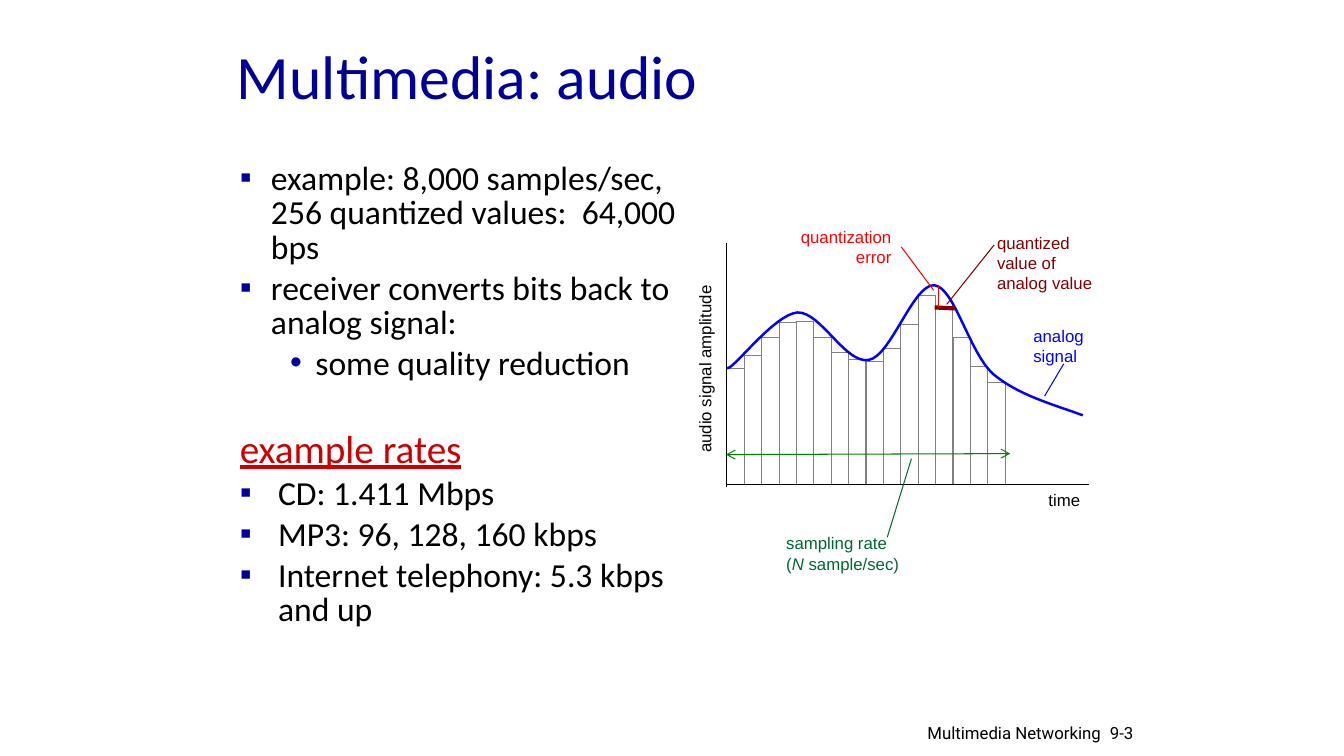
from dataclasses import dataclass
from pptx import Presentation
from pptx.dml.color import RGBColor
from pptx.enum.shapes import MSO_CONNECTOR, MSO_SHAPE
from pptx.enum.text import MSO_ANCHOR, MSO_AUTO_SIZE, PP_ALIGN
from pptx.oxml.ns import qn
from pptx.util import Inches, Pt
from lxml.etree import SubElement


@dataclass(frozen=True)
class Theme:
    navy: str = "000099"
    black: str = "000000"
    heading: str = "CC0000"
    gray: str = "808080"
    blue: str = "0000FF"
    maroon: str = "800000"
    red: str = "FF0000"
    green: str = "008000"
    forest: str = "006633"
    body_font: str = "Calibri"
    label_font: str = "Arial"
    footer_font: str = "Roboto"
    title_size: int = 44
    heading_size: int = 28
    body_size: int = 24
    label_size: int = 12
    thin: float = 0.75


THEME = Theme()
WIDTH, HEIGHT = 13.33, 7.5
AXIS_LEFT, AXIS_BASE = 7.21, 4.81
BAR_WIDTH = 0.1725

TITLE = "Multimedia: audio"
POINT = {"margin": 0.31, "hanging": 0.31, "bullet": "▪", "before": 4.8}
SUBPOINT = {"margin": 0.75, "hanging": 0.25, "bullet": "•", "before": 4.8}
RATE = {"margin": 0.38, "hanging": 0.38, "bullet": "▪", "before": 4.8}
HEADING = {"margin": 0.38, "hanging": 0.38, "bullet": None, "before": 35}
BODY = [
    ("example: 8,000 samples/sec, 256 quantized values:  64,000 bps", POINT | {"before": 0}),
    ("receiver converts bits back to analog signal:", POINT),
    ("some quality reduction", SUBPOINT),
    ("example rates", HEADING),
    ("CD: 1.411 Mbps", RATE),
    ("MP3: 96, 128, 160 kbps", RATE),
    ("Internet telephony: 5.3 kbps and up", RATE),
]
SAMPLE_HEIGHTS = [1.15, 1.28, 1.46, 1.61, 1.62, 1.46, 1.31, 1.24,
                  1.22, 1.35, 1.59, 1.88, 1.75, 1.46, 1.17, 1.02]
SIGNAL_START = (7.21, 3.65)
SIGNAL_CURVES = [
    ((7.25, 3.7), (7.67, 3.12), (7.91, 3.1)),
    ((8.14, 3.09), (8.39, 3.62), (8.62, 3.57)),
    ((8.84, 3.53), (9.06, 2.81), (9.27, 2.83)),
    ((9.47, 2.86), (9.61, 3.49), (9.85, 3.71)),
    ((10.1, 3.92), (10.44, 4.01), (10.74, 4.12)),
]
AXES = [
    ((AXIS_LEFT, 2.41), (AXIS_LEFT, 4.83), THEME.black, THEME.thin),
    ((AXIS_LEFT, AXIS_BASE), (10.8, AXIS_BASE), THEME.black, THEME.thin),
]
POINTERS = [
    ((10.55, 3.61), (10.36, 3.93), THEME.blue, THEME.thin),
    ((9.27, 3.05), (9.47, 3.06), THEME.maroon, 3),
    ((9.86, 2.43), (9.39, 3.02), THEME.maroon, THEME.thin),
    ((9.31, 2.83), (9.31, 3.05), THEME.red, 1),
    ((8.94, 2.45), (9.26, 2.88), THEME.red, THEME.thin),
    ((8.8, 5.33), (9.04, 4.55), THEME.forest, THEME.thin),
]
SAMPLING_SPAN = ((7.2, 4.51), (10.02, 4.5), THEME.green, THEME.thin)
LABELS = [
    ((10.3, 4.81, 0.52, 0.3), ["time"], THEME.black, {"wrap": False}),
    ((6.05, 3.5, 1.88, 0.3), ["audio signal amplitude"], THEME.black,
     {"wrap": False, "rotation": 270}),
    ((10.15, 3.18, 0.71, 0.5), ["analog", "signal"], THEME.blue, {"wrap": False}),
    ((9.79, 2.26, 1.28, 0.71), ["quantized value of", "analog value"], THEME.maroon, {}),
    ((7.73, 2.2, 1.21, 0.5), ["quantization error"], THEME.red, {"align": PP_ALIGN.RIGHT}),
    ((7.7, 5.24, 1.87, 0.5), ["sampling rate", ("(", "N ", "sample/sec)")], THEME.forest, {}),
    ((10.91, 7.12, 0.75, 0.3), ["9-3"], THEME.black, {"font": THEME.footer_font}),
    ((8.86, 7.12, 2.16, 0.28), ["Multimedia Networking"], THEME.black,
     {"font": THEME.footer_font, "align": PP_ALIGN.RIGHT}),
]


def color(value):
    return RGBColor.from_string(value)


def apply(target, values):
    for name, value in values.items():
        setattr(target, name, value)


def style_font(font, name, size, hue, **extra):
    apply(font, {"name": name, "size": Pt(size), **extra})
    font.color.rgb = color(hue)


def place(shape, box):
    apply(shape, dict(zip(("left", "top", "width", "height"), map(Inches, box))))


def style_line(shape, hue, width):
    shape.line.color.rgb = color(hue)
    shape.line.width = Pt(width)


def add_line(slide, start, end, hue, width, arrows=False):
    connector = slide.shapes.add_connector(
        MSO_CONNECTOR.STRAIGHT, *map(Inches, (*start, *end)))
    style_line(connector, hue, width)
    properties = connector._element.spPr
    SubElement(properties, qn("a:effectLst"))
    if arrows:
        outline = properties.find(qn("a:ln"))
        for tag in ("a:headEnd", "a:tailEnd"):
            SubElement(outline, qn(tag), type="arrow")


def add_title(slide):
    title = slide.shapes.title
    place(title, (2.25, 0.12, 5.44, 1.25))
    apply(title.text_frame, {"text": TITLE, "vertical_anchor": MSO_ANCHOR.MIDDLE,
                             "auto_size": MSO_AUTO_SIZE.NONE, "word_wrap": True})
    paragraph = title.text_frame.paragraphs[0]
    paragraph.alignment = PP_ALIGN.LEFT
    style_font(paragraph.runs[0].font, THEME.body_font, THEME.title_size, THEME.navy)


def add_body(slide):
    frame = slide.shapes.add_textbox(*map(Inches, (2.28, 1.57, 4.54, 5.08))).text_frame
    frame.word_wrap = True
    for index, (text, layout) in enumerate(BODY):
        paragraph = frame.add_paragraph() if index else frame.paragraphs[0]
        apply(paragraph, {"line_spacing": 0.85, "space_before": Pt(layout["before"]),
                          "level": int(layout is SUBPOINT)})
        properties = paragraph._p.get_or_add_pPr()
        properties.set("marL", str(Inches(layout["margin"])))
        properties.set("indent", str(-Inches(layout["hanging"])))
        if layout["bullet"]:
            bullet_color = SubElement(properties, qn("a:buClr"))
            SubElement(bullet_color, qn("a:srgbClr"), val=THEME.navy)
            SubElement(properties, qn("a:buFont"), typeface=THEME.label_font)
            SubElement(properties, qn("a:buChar"), char=layout["bullet"])
        run = paragraph.add_run()
        run.text = text
        if layout is HEADING:
            style_font(run.font, THEME.body_font, THEME.heading_size, THEME.heading, underline=True)
        else:
            style_font(run.font, THEME.body_font, THEME.body_size, THEME.black)


def add_samples(slide):
    for index, height in enumerate(SAMPLE_HEIGHTS):
        box = (AXIS_LEFT + index * BAR_WIDTH, AXIS_BASE - height, BAR_WIDTH, height)
        bar = slide.shapes.add_shape(MSO_SHAPE.RECTANGLE, *map(Inches, box))
        bar.shadow.inherit = False
        bar.fill.background()
        style_line(bar, THEME.gray, THEME.thin)


def curve_points(start, curves, steps=16):
    for first, second, end in curves:
        for step in range(1, steps + 1):
            t = step / steps
            weights = ((1 - t) ** 3, 3 * t * (1 - t) ** 2, 3 * t * t * (1 - t), t ** 3)
            yield tuple(
                Inches(sum(weight * value for weight, value in zip(weights, values)))
                for values in zip(start, first, second, end))
        start = end


def add_signal(slide):
    builder = slide.shapes.build_freeform(*map(Inches, SIGNAL_START))
    builder.add_line_segments(list(curve_points(SIGNAL_START, SIGNAL_CURVES)), close=False)
    signal = builder.convert_to_shape()
    signal.shadow.inherit = False
    signal.fill.background()
    style_line(signal, THEME.blue, 1.75)


def add_label(slide, box, lines, hue, options):
    label = slide.shapes.add_textbox(*map(Inches, box))
    label.rotation = options.get("rotation", 0)
    frame = label.text_frame
    frame.word_wrap = options.get("wrap", True)
    for index, line in enumerate(lines):
        paragraph = frame.add_paragraph() if index else frame.paragraphs[0]
        paragraph.alignment = options.get("align", PP_ALIGN.LEFT)
        for part in (line,) if isinstance(line, str) else line:
            run = paragraph.add_run()
            run.text = part
            style_font(run.font, options.get("font", THEME.label_font),
                       THEME.label_size, hue, italic=part == "N ")


def main():
    presentation = Presentation()
    apply(presentation, {"slide_width": Inches(WIDTH), "slide_height": Inches(HEIGHT)})
    slide = presentation.slides.add_slide(presentation.slide_layouts[5])
    add_title(slide)
    add_body(slide)
    add_samples(slide)
    for axis in AXES:
        add_line(slide, *axis)
    add_signal(slide)
    for pointer in POINTERS:
        add_line(slide, *pointer)
    add_line(slide, *SAMPLING_SPAN, arrows=True)
    for label in LABELS:
        add_label(slide, *label)
    presentation.save("out.pptx")


if __name__ == "__main__":
    main()
